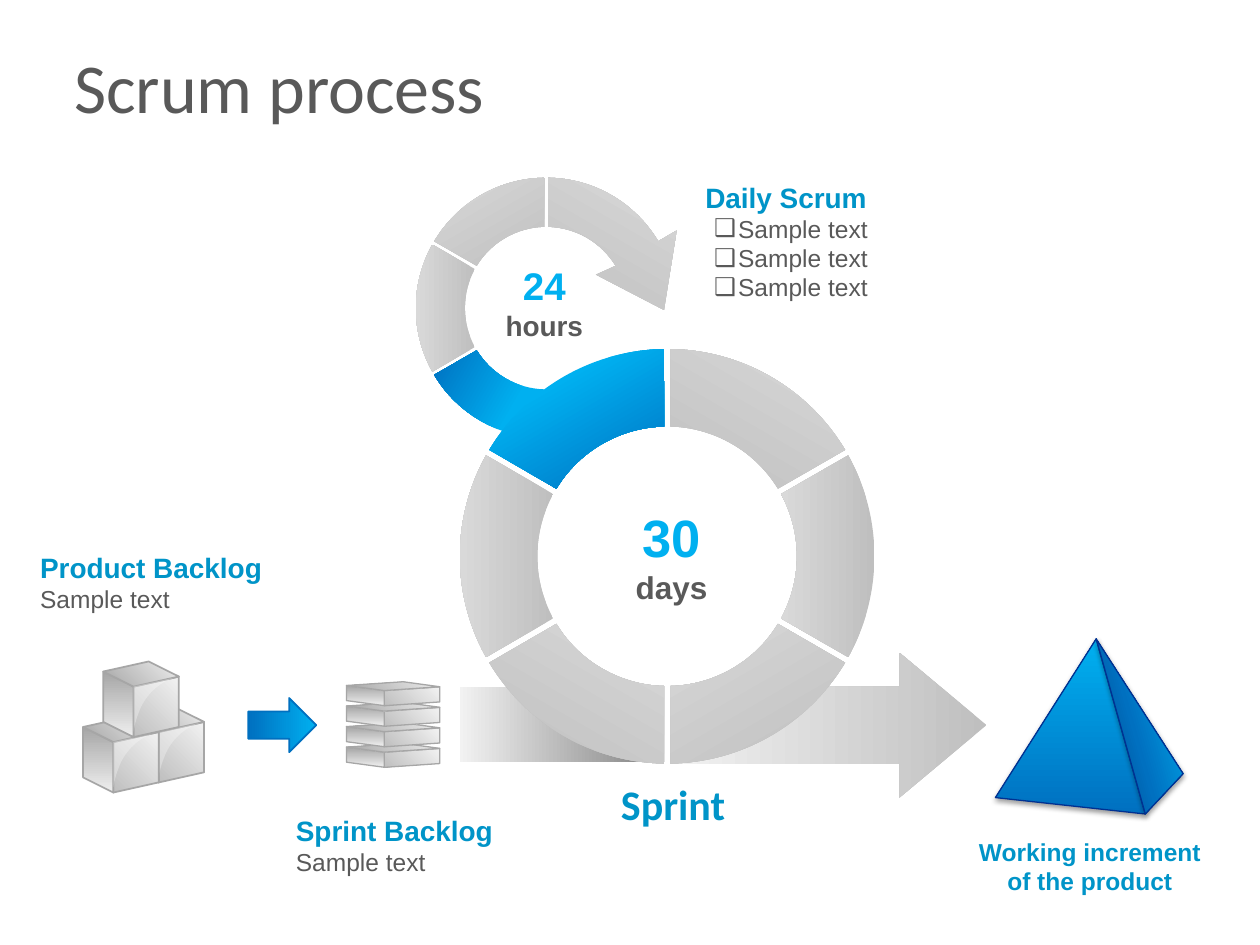
from math import asin, cos, degrees, radians, sin, tan

from lxml import etree
from pptx import Presentation
from pptx.dml.color import RGBColor
from pptx.enum.shapes import MSO_SHAPE
from pptx.enum.text import MSO_ANCHOR, MSO_AUTO_SIZE, PP_ALIGN
from pptx.oxml.ns import qn
from pptx.util import Inches, Pt

LEFT, CENTER = PP_ALIGN.LEFT, PP_ALIGN.CENTER
TOP, MIDDLE = MSO_ANCHOR.TOP, MSO_ANCHOR.MIDDLE
FIT, KEEP = MSO_AUTO_SIZE.SHAPE_TO_FIT_TEXT, MSO_AUTO_SIZE.NONE
RECTANGLE, RIGHT_ARROW = MSO_SHAPE.RECTANGLE, MSO_SHAPE.RIGHT_ARROW

SKY, BLUE, NAVY, TEAL = "00B0F0", "0070C0", "003192", "0094C8"
TEXT_GRAY, EDGE_GRAY = "595959", "A6A6A6"
RING_GRAY = [(0, "BFBFBF"), (100, "D9D9D9")]
RING_BLUE = [(30, SKY), (100, BLUE)]
FRONT_GRAY = [(0, "F2F2F2"), (100, "BFBFBF")]
SIDE_GRAY = [(0, "EEEEEE"), (100, "A6A6A6")]
GLOSS = [(0, "FFFFFF")]


def paint(shape, stops, angle=0, line=None, width=1, alpha=100):
    """Fill a shape with one colour or a clockwise gradient, and set its outline."""
    shape.shadow.inherit = False
    if len(stops) == 1:
        shape.fill.solid()
        shape.fill.fore_color.rgb = RGBColor.from_string(stops[0][1])
        color = shape._element.spPr.find(".//" + qn("a:srgbClr"))
        etree.SubElement(color, qn("a:alpha"), val=str(alpha * 1000))
    else:
        shape.fill.gradient()
        gradient = shape._element.spPr.find(qn("a:gradFill"))
        stop_list = gradient.find(qn("a:gsLst"))
        for old_stop in list(stop_list):
            stop_list.remove(old_stop)
        for position, color in stops:
            stop = etree.SubElement(stop_list, qn("a:gs"), pos=str(position * 1000))
            etree.SubElement(stop, qn("a:srgbClr"), val=color)
        gradient.find(qn("a:lin")).set("ang", str(angle * 60000))
    if line:
        shape.line.color.rgb = RGBColor.from_string(line)
        shape.line.width = Pt(width)
    else:
        shape.line.fill.background()


def add_text(area, rows, align=LEFT, font="Arial", wrap=False, anchor=TOP, fit=FIT):
    """Add a text box with rows of (text, size, colour, bold, bullet)."""
    box = page.shapes.add_textbox(*map(Inches, area))
    frame = box.text_frame
    frame.word_wrap = wrap
    frame.auto_size = fit
    frame.vertical_anchor = anchor
    for index, (text, size, color, bold, bullet) in enumerate(rows):
        para = frame.add_paragraph() if index else frame.paragraphs[0]
        para.alignment = align
        span = para.add_run()
        span.text = text
        span.font.name = font
        span.font.size = Pt(size)
        span.font.bold = bold
        span.font.color.rgb = RGBColor.from_string(color)
        if bullet:
            props = para._p.get_or_add_pPr()
            props.set("marL", str(Inches(0.26)))
            props.set("indent", str(Inches(-0.19)))
            etree.SubElement(props, qn("a:buFont"), typeface="Arial")
            etree.SubElement(props, qn("a:buChar"), char=bullet)


deck = Presentation()
deck.slide_width, deck.slide_height = Inches(10), Inches(7.5)
page = deck.slides.add_slide(deck.slide_layouts[6])

# Arrows and the bar that enters the sprint ring
arrows = [
    (RIGHT_ARROW, (1.97, 5.54, 0.54, 0.43), [(0, SKY), (100, BLUE)], BLUE, None),
    (RIGHT_ARROW, (5.33, 5.18, 2.5, 1.15), [(0, "BFBFBF"), (100, "F2F2F2")], None,
     (0.534, 0.601)),
    (RECTANGLE, (3.65, 5.45, 1.62, 0.6), [(0, "808080"), (100, "F2F2F2")], None, None),
]
for kind, area, stops, line, adjustments in arrows:
    arrow = page.shapes.add_shape(kind, *map(Inches, area))
    paint(arrow, stops, 180, line)
    for index, value in enumerate(adjustments or ()):
        arrow.adjustments[index] = value

# (points, segments where curves start, stops, angle, line, width, alpha, has shadow)
outlines = []

# Backlog blocks: each is placed by the near corner of its top face
cube = ((0.36, -0.08), (0.12, -0.2), (-0.24, -0.12), 0.4, 1)
slab = ((0.44, -0.03), (0.15, -0.07), (-0.3, -0.04), 0.12, 0.75)
gloss = [(0.32, -0.07), (0.22, -0.04), (0.12, 0.04), (0.06, 0.16),
         (0.03, 0.23), (0.01, 0.29), (0, 0.36), (0, 0)]
blocks = [(1.26, 5.81, cube), (0.9, 5.89, cube), (1.06, 5.45, cube)]
blocks += [(3.05, 5.97 - 0.163 * level, slab) for level in range(4)]
for x, y, (right, back, left, height, width) in blocks:
    near, low = (0, 0), (0, height)
    faces = [
        ([near, right, (right[0], right[1] + height), low], FRONT_GRAY, 135),
        ([left, near, low, (left[0], left[1] + height)], SIDE_GRAY, 270),
        ([back, right, near, left], SIDE_GRAY, 135),
    ]
    for corners, stops, angle in faces:
        points = [(x + dx, y + dy) for dx, dy in corners]
        outlines.append((points, (), stops, angle, EDGE_GRAY, width, 100, False))
    if height == cube[3]:
        points = [(x + dx, y + dy) for dx, dy in gloss]
        outlines.append((points, (0, 3), GLOSS, 0, None, 0, 30, False))

# Rings: 60 degree sectors, with start angles clockwise from the right
arrow_tip = [(5.37, 1.83), (5.27, 2.46), (4.73, 2.18)]
day_ring = (4.335, 2.445, 1.035, 0.645, 0.015)
sprint_ring = (5.295, 4.415, 1.645, 1.03, 0.025)
sectors = [
    (day_ring, 150, RING_GRAY, 180, []),
    (day_ring, 90, RING_BLUE, 210, []),
    (day_ring, 270, RING_GRAY, 300, arrow_tip),
    (day_ring, 210, RING_GRAY, 240, []),
    (sprint_ring, 330, RING_GRAY, 180, []),
    (sprint_ring, 150, RING_GRAY, 180, []),
    (sprint_ring, 90, RING_GRAY, 300, []),
    (sprint_ring, 270, RING_GRAY, 300, []),
    (sprint_ring, 30, RING_GRAY, 240, []),
    (sprint_ring, 210, RING_BLUE, 60, []),
]
for (x, y, outer, inner, gap), start, stops, angle, tip in sectors:
    arcs = []
    for radius in (outer, inner):
        half = radians(30) - asin(gap / radius)
        middle = radians(start + 30)
        pull = 4 / 3 * tan(half / 4)
        arc = []
        for turn, sides in ((middle - half, (0, 1)), (middle, (-1, 0, 1)),
                            (middle + half, (-1, 0))):
            arc += [(x + radius * (cos(turn) - side * pull * sin(turn)),
                     y + radius * (sin(turn) + side * pull * cos(turn)))
                    for side in sides]
        arcs.append(arc)
    points = arcs[0] + tip + arcs[1][::-1]
    curves = (0, 3, 7 + len(tip), 10 + len(tip))
    outlines.append((points, curves, stops, angle, None, 0, 100, False))

# Pyramid
apex, base = (8.7, 5.07), (9.09, 6.46)
outlines += [
    ([apex, base, (7.9, 6.33)], (), [(0, BLUE), (100, SKY)], 270, NAVY, 0.75, 100, True),
    ([apex, (9.39, 6.14), base], (), [(0, "004282"), (45, BLUE), (100, SKY)], 344,
     NAVY, 0.75, 100, True),
]

for points, curves, stops, angle, line, width, alpha, has_shadow in outlines:
    corners = [(Inches(x), Inches(y)) for x, y in points]
    builder = page.shapes.build_freeform(*corners[0], scale=1.0)
    builder.add_line_segments(corners[1:], close=True)
    outline = builder.convert_to_shape()
    segments = outline._element.spPr.findall(".//" + qn("a:lnTo"))
    for first in curves:
        segments[first].tag = qn("a:cubicBezTo")
        for extra in segments[first + 1:first + 3]:
            segments[first].append(extra[0])
            extra.getparent().remove(extra)
    paint(outline, stops, angle, line, width, alpha)
    if has_shadow:
        effects = outline._element.spPr.find(qn("a:effectLst"))
        shadow = etree.SubElement(effects, qn("a:outerShdw"), blurRad=str(Pt(3.1)),
                                  dist=str(Pt(1.6)), dir="5400000", rotWithShape="0")
        color = etree.SubElement(shadow, qn("a:srgbClr"), val="000000")
        etree.SubElement(color, qn("a:alpha"), val="38000")

# Labels
sample = ("Sample text", 14, TEXT_GRAY, False, None)
check = ("Sample text", 14, TEXT_GRAY, False, "\u2751")
add_text((4.94, 3.96, 0.78, 0.94), [("30", 30, SKY, True, None),
                                    ("days", 18, TEXT_GRAY, True, None)], CENTER)
add_text((3.91, 2.03, 0.82, 0.74), [("24", 22, SKY, True, None),
                                    ("hours", 16, TEXT_GRAY, True, None)], CENTER)
for area, heading, details in [
    ((0.22, 4.32, 1.98, 0.61), "Product Backlog", [sample]),
    ((2.25, 6.41, 1.78, 0.61), "Sprint Backlog", [sample]),
    ((5.5, 1.38, 1.56, 1.08), "Daily Scrum", [check] * 3),
]:
    add_text(area, [(heading, 16, TEAL, True, None)] + details)
add_text((4.83, 6.13, 1.04, 0.5), [("Sprint", 24, TEAL, True, None)], font="Calibri")
add_text((7.65, 6.59, 2, 0.57),
         [("Working increment of the product", 14, TEAL, True, None)], CENTER, wrap=True)
add_text((0.49, 0.26, 8.77, 0.83), [("Scrum process", 40, TEXT_GRAY, False, None)],
         font="Calibri", wrap=True, anchor=MIDDLE, fit=KEEP)

deck.save("out.pptx")
